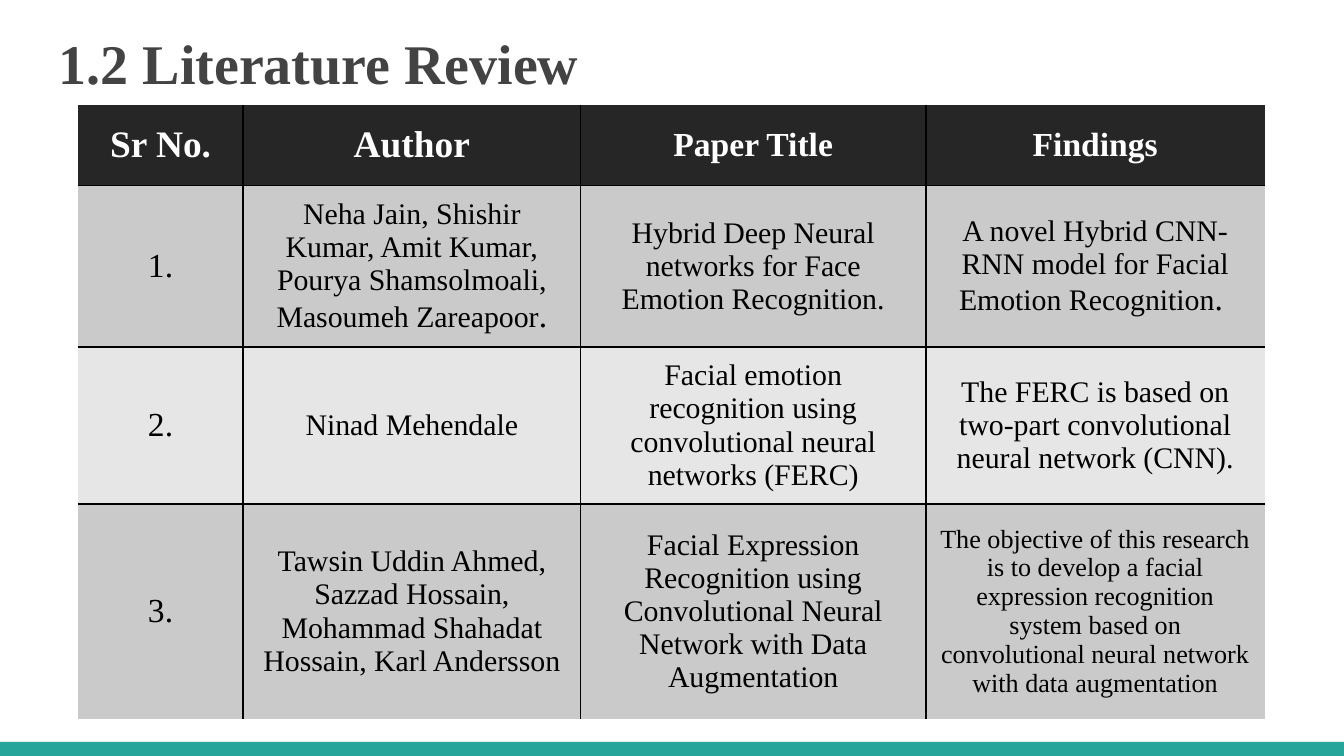
from lxml import etree
from pptx import Presentation
from pptx.dml.color import RGBColor
from pptx.enum.shapes import MSO_SHAPE
from pptx.enum.text import MSO_ANCHOR, PP_ALIGN
from pptx.oxml.ns import qn
from pptx.util import Inches, Pt

RECT = MSO_SHAPE.RECTANGLE
MIDDLE = MSO_ANCHOR.MIDDLE
CENTER = PP_ALIGN.CENTER

TITLE = "1.2 Literature Review"
HEAD = ["Sr No.", "Author", "Paper Title", "Findings"]
PAPERS = [
    ["1.",
     ["Neha Jain, Shishir Kumar, Amit Kumar, Pourya Shamsolmoali,", "Masoumeh Zareapoor"],
     "Hybrid Deep Neural networks for Face Emotion Recognition.",
     "A novel Hybrid CNN-RNN model for Facial Emotion Recognition"],
    ["2.",
     "Ninad Mehendale",
     "Facial emotion recognition using convolutional neural networks (FERC)",
     "The FERC is based on two-part convolutional neural network (CNN)."],
    ["3.",
     "Tawsin Uddin Ahmed, Sazzad Hossain, Mohammad Shahadat Hossain, Karl Andersson",
     "Facial Expression Recognition using Convolutional Neural Network with Data Augmentation",
     "The objective of this research is to develop a facial expression recognition "
     "system based on convolutional neural network with data augmentation"],
]
TAILS = {(1, 1): ".", (1, 3): ". "}
COLS = [1.23, 2.51, 2.57, 2.52]
ROWS = [0.6, 1.12, 1.17, 1.6]

THEME = {
    "font": "Times New Roman",
    "title": "434343", "bar": "26A69A", "rule": "000000",
    "head": "262626", "bands": ["CACACA", "E6E6E6"],
    "light": "FFFFFF", "dark": "000000",
    "title_size": 30, "head_sizes": [20, 20, 18, 18],
    "body_sizes": [18, 16, 16, 16], "tail_size": 18, "small": {(3, 3): 14},
}


def style(run, size, color, bold=False):
    run.font.name = THEME["font"]
    run.font.size = Pt(size)
    run.font.bold = bold
    run.font.color.rgb = RGBColor.from_string(color)


def paint(shape, color):
    shape.fill.solid()
    shape.fill.fore_color.rgb = RGBColor.from_string(color)


def border(cell, row, col):
    inner = {"L": col > 0, "R": col < len(COLS) - 1,
             "T": row > 0, "B": row < len(ROWS) - 1}
    props = cell._tc.get_or_add_tcPr()
    for side, shown in inner.items():
        line = etree.SubElement(props, qn(f"a:ln{side}"), w=str(Pt(1)))
        if shown:
            fill = etree.SubElement(line, qn("a:solidFill"))
            etree.SubElement(fill, qn("a:srgbClr"), val=THEME["rule"])
        else:
            etree.SubElement(line, qn("a:noFill"))


def write(cell, row, col, text):
    top = row == 0
    sizes = THEME["head_sizes" if top else "body_sizes"]
    size = THEME["small"].get((row, col), sizes[col])
    color = THEME["light" if top else "dark"]
    frame = cell.text_frame
    frame.text = text if isinstance(text, str) else "\n".join(text)
    for para in frame.paragraphs:
        para.alignment = CENTER
        for run in para.runs:
            style(run, size, color, top)
    if (row, col) in TAILS:
        run = frame.paragraphs[-1].add_run()
        run.text = TAILS[row, col]
        style(run, THEME["tail_size"], color)


deck = Presentation()
deck.slide_width = Inches(10)
deck.slide_height = deck.slide_width * 9 // 16
slide = deck.slides.add_slide(deck.slide_layouts[6])

edge = Inches(5.52)
bar = slide.shapes.add_shape(RECT, 0, edge, deck.slide_width, deck.slide_height - edge)
bar.shadow.inherit = False
paint(bar, THEME["bar"])
bar.line.fill.background()

title = slide.shapes.add_textbox(Inches(0.34), Inches(0.11), Inches(9.32), Inches(0.58))
frame = title.text_frame
frame.word_wrap = True
frame.margin_left = frame.margin_right = Inches(0.1)
frame.margin_top = frame.margin_bottom = Inches(0.1)
frame.text = TITLE
style(frame.paragraphs[0].runs[0], THEME["title_size"], THEME["title"], True)

table = slide.shapes.add_table(
    len(ROWS), len(COLS), Inches(0.58), Inches(0.78),
    Inches(sum(COLS)), Inches(sum(ROWS))).table
for col, width in enumerate(COLS):
    table.columns[col].width = Inches(width)
for row, texts in enumerate([HEAD] + PAPERS):
    table.rows[row].height = Inches(ROWS[row])
    shade = THEME["bands"][(row - 1) % 2] if row else THEME["head"]
    for col, text in enumerate(texts):
        cell = table.cell(row, col)
        cell.vertical_anchor = MIDDLE
        border(cell, row, col)
        paint(cell, shade)
        write(cell, row, col, text)

deck.save("out.pptx")
